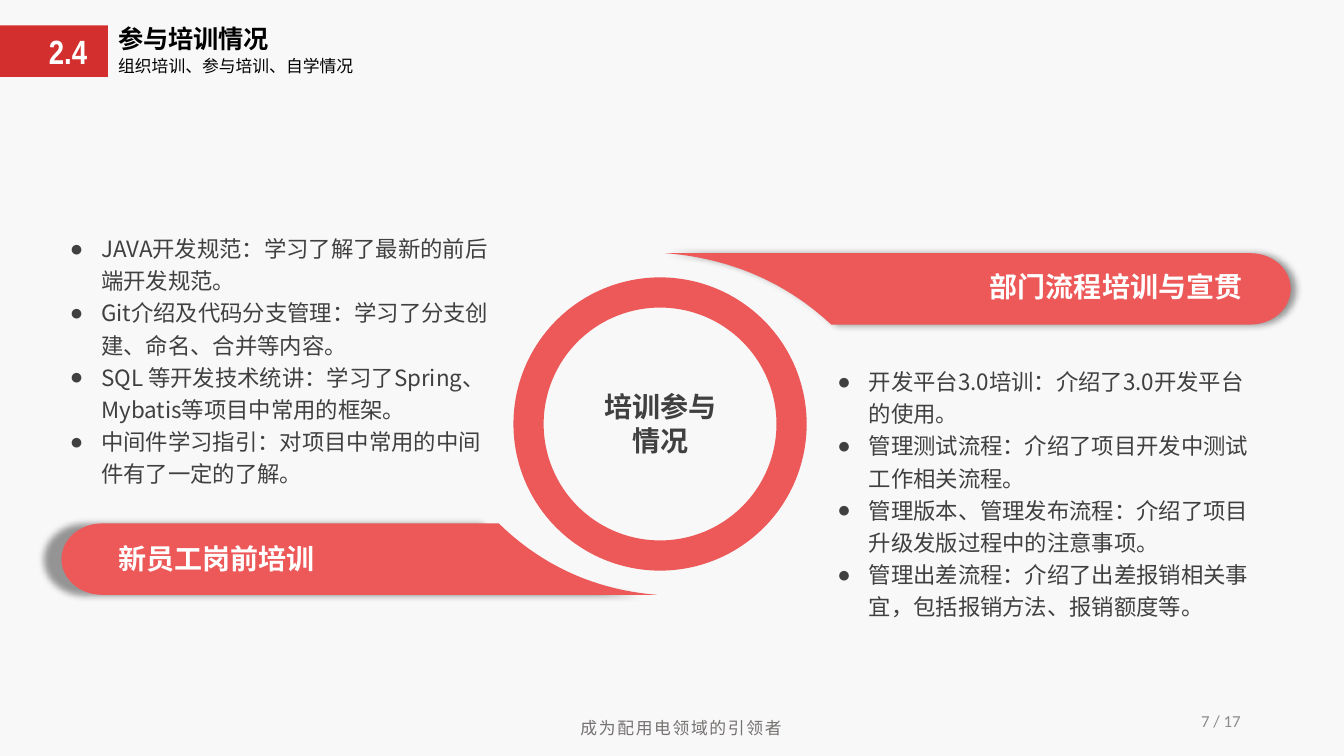
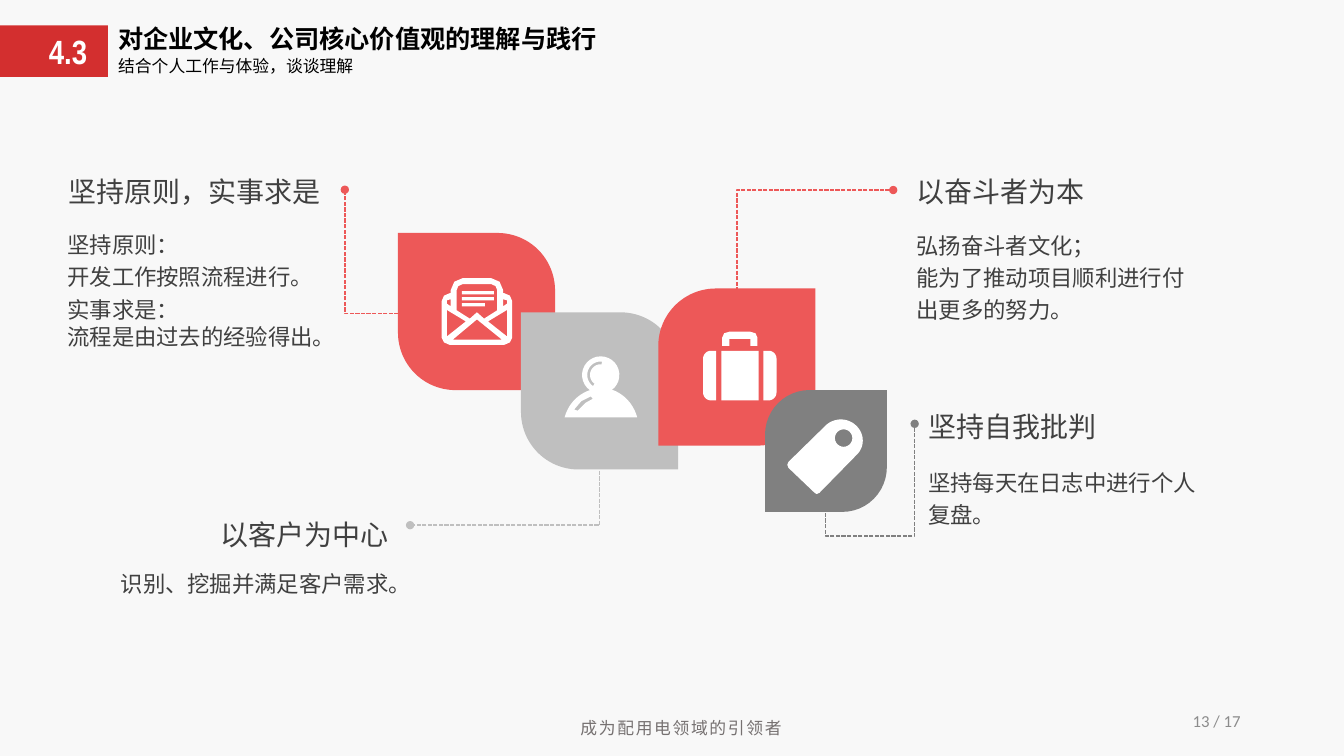
from dataclasses import dataclass
from math import cos, radians, sin
from typing import NamedTuple

from lxml import etree
from pptx import Presentation
from pptx.dml.color import RGBColor
from pptx.enum.dml import MSO_LINE
from pptx.enum.shapes import MSO_CONNECTOR, MSO_SHAPE
from pptx.enum.text import MSO_ANCHOR, MSO_AUTO_SIZE, PP_ALIGN
from pptx.oxml.ns import qn
from pptx.util import Cm, Pt

CJK = "Noto Sans CJK SC"
BACKGROUND, BAND, RED = "F8F8F8", "D32F2F", "ED5858"
SILVER, GREY, DARK, WHITE, BLACK = "BFBFBF", "808080", "404040", "FFFFFF", "000000"
FOOTER = "成为配用电领域的引领者"
PAGE_COUNT = 17
LEFT, CENTER, RIGHT = PP_ALIGN.LEFT, PP_ALIGN.CENTER, PP_ALIGN.RIGHT

Point = tuple[float, float]


class Box(NamedTuple):
    left: float
    top: float
    width: float
    height: float

    def lengths(self) -> list[Cm]:
        return [Cm(value) for value in self]


@dataclass(frozen=True)
class TextStyle:
    size: int
    color: str
    bold: bool = False
    name: str = CJK
    tracking: int = 0


@dataclass(frozen=True)
class Banner:
    tip: Point
    direction: int
    length: float
    foot: float
    shadow_offset: float
    label: str
    label_box: Box
    align: PP_ALIGN


@dataclass(frozen=True)
class Wire:
    box: Box
    rotation: int
    dot: str
    flipped: bool = False
    bend: int = 0


@dataclass(frozen=True)
class Leaf:
    left: float
    top: float
    size: float
    rotation: int
    color: str
    wire: Wire


@dataclass(frozen=True)
class Callout:
    heading: str
    lines: tuple[str, ...]
    left: float
    heading_top: float
    body_top: float
    width: float = 7.29
    heading_align: PP_ALIGN = LEFT
    body_align: PP_ALIGN = LEFT
    last_spacing: float = 1.2


@dataclass(frozen=True)
class Icon:
    left: float
    top: float
    contours: list[list[Point]]


TITLE = TextStyle(18, BLACK, True)
SUBTITLE = TextStyle(12, BLACK)
NUMBER = TextStyle(24, WHITE, True, "Arial Narrow")
FOOTER_STYLE = TextStyle(12, "767171", tracking=120)
PAGE = TextStyle(12, "8C8C8C", name="Calibri")
BODY = TextStyle(16, DARK)
HEADING = TextStyle(20, DARK)
HUB = TextStyle(20, DARK, True)
BANNER_LABEL = TextStyle(20, WHITE, True)


def rgb(color: str) -> RGBColor:
    return RGBColor.from_string(color)


def write_text(frame, lines, style: TextStyle, align=LEFT, spacing=1.0, anchor=MSO_ANCHOR.TOP):
    frame_format = {"word_wrap": True, "auto_size": MSO_AUTO_SIZE.NONE, "vertical_anchor": anchor}
    paragraph_format = {"alignment": align, "line_spacing": spacing, "space_before": Pt(0)}
    font_format = {"size": Pt(style.size), "bold": style.bold, "name": style.name}
    for key, value in frame_format.items():
        setattr(frame, key, value)
    for index, line in enumerate(lines):
        paragraph = frame.add_paragraph() if index else frame.paragraphs[0]
        for key, value in paragraph_format.items():
            setattr(paragraph, key, value)
        run = paragraph.add_run()
        run.text = line
        for key, value in font_format.items():
            setattr(run.font, key, value)
        run.font.color.rgb = rgb(style.color)
        properties = run.font._element
        etree.SubElement(properties, qn("a:ea")).set("typeface", style.name)
        if style.tracking:
            properties.set("spc", str(style.tracking))
    return frame


def add_text(slide, box: Box, lines, style: TextStyle, **layout):
    return write_text(slide.shapes.add_textbox(*box.lengths()).text_frame, lines, style, **layout)


def place(shape, box: Box):
    for key, value in zip(box._fields, box.lengths()):
        setattr(shape, key, value)
    return shape


def paint(shape, color: str):
    shape.shadow.inherit = False
    shape.fill.solid()
    shape.fill.fore_color.rgb = rgb(color)
    shape.line.fill.background()
    return shape


def add_preset(slide, preset: MSO_SHAPE, box: Box, color: str):
    return paint(slide.shapes.add_shape(preset, *box.lengths()), color)


def add_outline(slide, contours: list[list[Point]], color: str):
    """Draw closed contours as one shape; inner contours become holes."""
    scaled = [[(Cm(x), Cm(y)) for x, y in contour] for contour in contours]
    builder = slide.shapes.build_freeform(*scaled[0][0])
    for index, contour in enumerate(scaled):
        if index:
            builder.move_to(*contour[0])
        builder.add_line_segments(contour[1:], close=True)
    return paint(builder.convert_to_shape(), color)


def arc(x: float, y: float, rx: float, ry: float, start: int, end: int, steps: int = 24):
    angles = [radians(start + (end - start) * i / steps) for i in range(steps + 1)]
    return [(x + rx * cos(a), y + ry * sin(a)) for a in angles]


def bezier(p0: Point, p1: Point, p2: Point, p3: Point, steps: int = 20) -> list[Point]:
    def at(t: float) -> Point:
        weights = ((1 - t) ** 3, 3 * t * (1 - t) ** 2, 3 * t * t * (1 - t), t ** 3)
        return tuple(sum(w * p[axis] for w, p in zip(weights, (p0, p1, p2, p3))) for axis in (0, 1))
    return [at(i / steps) for i in range(steps + 1)]


def mirror(points: list[Point], width: float) -> list[Point]:
    return [(width - x, y) for x, y in points]


def add_frame(presentation, layout: int, number: str, title: str, subtitle: str, page: int):
    """Add a slide with the shared band, title, subtitle, footer and page number."""
    slide = presentation.slides.add_slide(presentation.slide_layouts[layout])
    band = add_preset(slide, MSO_SHAPE.RECTANGLE, Box(0, 0.64, 2.72, 1.3), BAND)
    band.text_frame.margin_left = Cm(0.96)
    write_text(band.text_frame, [number], NUMBER, CENTER, anchor=MSO_ANCHOR.MIDDLE)
    place(slide.shapes.title, Box(2.72, 0.46, 13.11, 1.02))
    write_text(slide.shapes.title.text_frame, [title], TITLE)
    add_text(slide, Box(2.73, 1.29, 7.01, 0.76), [subtitle], SUBTITLE)
    add_text(slide, Box(14.38, 17.96, 6.35, 0.76), [FOOTER], FOOTER_STYLE)
    add_text(slide, Box(23.9, 17.65, 7.62, 1.02), [f"{page} / {PAGE_COUNT}"], PAGE,
             align=RIGHT, anchor=MSO_ANCHOR.MIDDLE)
    return slide


def fill_list(placeholder, box: Box, lines):
    frame = write_text(place(placeholder, box).text_frame, lines, BODY, spacing=1.2)
    for paragraph in frame.paragraphs:
        properties = paragraph._p.get_or_add_pPr()
        properties.set("marL", str(Cm(0.79)))
        properties.set("indent", str(-Cm(0.79)))
        etree.SubElement(properties, qn("a:buChar")).set("char", "●")


def add_shadow(shape, offset: float, direction: int):
    """Cast a soft shadow, moved right (1) or left (-1) by the offset."""
    effects = shape._element.spPr.find(qn("a:effectLst"))
    angle = "0" if direction > 0 else "10800000"
    shadow = etree.SubElement(effects, qn("a:outerShdw"), blurRad=str(Pt(5)),
                              dist=str(Cm(offset)), dir=angle, algn="ctr", rotWithShape="0")
    color = etree.SubElement(shadow, qn("a:srgbClr"), val=BLACK)
    etree.SubElement(color, qn("a:alpha"), val="40000")


def add_banner(slide, banner: Banner):
    height, cap, foot = 1.8, 1.02, banner.foot
    outline = arc(banner.length - cap, height / 2, cap, height / 2, -90, 90)
    outline += bezier((foot, height), (0.7 * foot, 0.35 * height), (0.35 * foot, 0.06 * height), (0, 0))
    x, y = banner.tip
    turned = [(x + banner.direction * dx, y + banner.direction * dy) for dx, dy in outline]
    add_shadow(add_outline(slide, [turned], RED), banner.shadow_offset, banner.direction)
    add_text(slide, banner.label_box, [banner.label], BANNER_LABEL, align=banner.align)


def add_wire(slide, wire: Wire, color: str):
    """Draw a dashed elbow with one corner, or two when a bend is given."""
    left, top, width, height = wire.box.lengths()
    start, end = (top + height, top) if wire.flipped else (top, top + height)
    connector = slide.shapes.add_connector(MSO_CONNECTOR.ELBOW, left, start, left + width, end)
    connector.rotation = wire.rotation
    for key, value in {"width": Pt(1), "dash_style": MSO_LINE.SQUARE_DOT}.items():
        setattr(connector.line, key, value)
    connector.line.color.rgb = rgb(color)
    etree.SubElement(connector.line._get_or_add_ln(), qn(f"a:{wire.dot}End")).set("type", "oval")
    properties = connector._element.spPr
    etree.SubElement(properties, qn("a:effectLst"))
    geometry = properties.find(qn("a:prstGeom"))
    if wire.bend:
        guides = geometry.find(qn("a:avLst"))
        etree.SubElement(guides, qn("a:gd"), name="adj1", fmla=f"val {wire.bend}")
    else:
        geometry.set("prst", "bentConnector2")


def add_callout(slide, callout: Callout):
    add_text(slide, Box(callout.left, callout.heading_top, callout.width, 1.12),
             [callout.heading], HEADING, align=callout.heading_align)
    body = Box(callout.left, callout.body_top, callout.width, 0.95 * len(callout.lines))
    frame = add_text(slide, body, callout.lines, BODY, align=callout.body_align, spacing=1.2)
    frame.paragraphs[-1].line_spacing = callout.last_spacing


BANNERS = (
    Banner((16.56, 14.99), -1, 15.01, 3.99, 0.46, "新员工岗前培训", Box(2.74, 13.52, 5.54, 1.12), LEFT),
    Banner((16.76, 6.38), 1, 15.77, 4.19, 0.13, "部门流程培训与宣贯", Box(24.37, 6.66, 7.19, 1.12), RIGHT),
)
TRAINING = (
    (Box(1.51, 5.66, 11.18, 6.71), (
        "JAVA开发规范：学习了解了最新的前后端开发规范。",
        "Git介绍及代码分支管理：学习了分支创建、命名、合并等内容。",
        "SQL 等开发技术统讲：学习了Spring、Mybatis等项目中常用的框架。",
        "中间件学习指引：对项目中常用的中间件有了一定的了解。")),
    (Box(20.85, 9.01, 11.18, 7.54), (
        "开发平台3.0培训：介绍了3.0开发平台的使用。",
        "管理测试流程：介绍了项目开发中测试工作相关流程。",
        "管理版本、管理发布流程：介绍了项目升级发版过程中的注意事项。",
        "管理出差流程：介绍了出差报销相关事宜，包括报销方法、报销额度等。")),
)
LEAVES = (
    Leaf(10.03, 5.87, 3.96, 270, RED, Wire(Box(8.69, 4.78, 1.35, 3.12), 180, "tail")),
    Leaf(13.13, 7.87, 3.96, 270, SILVER, Wire(Box(12.04, 10.16, 1.37, 4.78), 90, "tail")),
    Leaf(16.59, 7.27, 3.96, 0, RED, Wire(Box(18.57, 4.79, 3.94, 2.51), 180, "head", flipped=True)),
    Leaf(19.28, 9.83, 3.07, 0, GREY, Wire(Box(20.8, 10.69, 2.26, 2.24), 90, "head", bend=125300)),
)
CALLOUTS = (
    Callout("坚持原则，实事求是",
            ("坚持原则：", "开发工作按照流程进行。", "实事求是：", "流程是由过去的经验得出。"),
            1.45, 4.27, 5.57, 6.88, heading_align=RIGHT, last_spacing=1.0),
    Callout("以客户为中心", ("识别、挖掘并满足客户需求。",), 2.76, 12.92, 14.1,
            heading_align=RIGHT, body_align=RIGHT),
    Callout("以奋斗者为本", ("弘扬奋斗者文化；", "能为了推动项目顺利进行付出更多的努力。"), 22.85, 4.27, 5.58),
    Callout("坚持自我批判", ("坚持每天在日志中进行个人复盘。",), 23.14, 10.19, 11.56),
)
ENVELOPE_WIDTH, CASE_WIDTH = 1.78, 1.85
ENVELOPE_SIDE = [(0.53, 0), (0.32, 0.09), (0.23, 0.3), (0.23, 0.38), (0.2, 0.38), (0.06, 0.44),
                 (0, 0.58), (0, 1.5), (0.06, 1.62), (0.2, 1.68)]
LETTER_SIDE = [(0.53, 0.15), (0.42, 0.2), (0.38, 0.3), (0.38, 0.81), (0.71, 1.02), (0.89, 0.86)]
FLAP = [(0.13, 1.47), (0.13, 0.8), (0.61, 1.09)]
NOTCH = [(0.23, 0.71), (0.13, 0.64), (0.13, 0.56), (0.23, 0.53)]
CASE_END = (arc(0.2, 0.68, 0.2, 0.2, 270, 180) + arc(0.2, 1.53, 0.2, 0.2, 180, 90)
            + [(0.33, 1.73), (0.33, 0.48)])
HANDLE_SIDE = [(0.66, 0.36), (0.48, 0.36), (0.48, 0.15), (0.53, 0.04), (0.66, 0)]
ICONS = (
    Icon(11.13, 7.01, [
        *(side + mirror(side, ENVELOPE_WIDTH)[::-1] for side in (ENVELOPE_SIDE, LETTER_SIDE)),
        *(part for half in (FLAP, NOTCH) for part in (half, mirror(half, ENVELOPE_WIDTH))),
        [(0.28, 1.55), (0.89, 1.04), (1.52, 1.55)],
        *([(0.51, y), (right, y), (right, y + 0.08), (0.51, y + 0.08)]
          for y, right in ((0.33, 1.32), (0.48, 1.32), (0.63, 1.09)))]),
    Icon(17.72, 8.36, [
        CASE_END, mirror(CASE_END, CASE_WIDTH),
        [(0.46, 0.48), (1.4, 0.48), (1.4, 1.73), (0.46, 1.73)],
        HANDLE_SIDE + mirror(HANDLE_SIDE, CASE_WIDTH)[::-1] + [(1.19, 0.18), (0.66, 0.18)]]),
    Icon(14.23, 8.97, [
        arc(0.91, 0.48, 0.47, 0.47, 125, 415) + bezier((1.22, 0.86), (1.5, 0.97), (1.73, 1.2), (1.83, 1.55))
        + bezier((0, 1.55), (0.1, 1.2), (0.33, 0.97), (0.64, 0.86)),
        arc(0.91, 0.48, 0.34, 0.34, 125, 275) + arc(0.91, 0.48, 0.27, 0.27, 275, 125),
        [(0.24, 1.35), (0.42, 1.14), (0.66, 1.02), (0.71, 1.08), (0.53, 1.18), (0.33, 1.38)]]),
    Icon(19.84, 10.57, [
        bezier((1.73, 0.91), (1.96, 0.71), (1.96, 0.36), (1.73, 0.15))
        + bezier((1.73, 0.15), (1.52, -0.05), (1.18, -0.05), (0.97, 0.15))
        + [(0.03, 1.07), (0, 1.14), (0.03, 1.22), (0.69, 1.85), (0.74, 1.88), (0.81, 1.85)],
        arc(1.42, 0.47, 0.22, 0.22, 0, 360)]),
)


def build_training_slide(presentation):
    slide = add_frame(presentation, 3, "2.4", "参与培训情况", "组织培训、参与培训、自学情况", 7)
    ring = add_preset(slide, MSO_SHAPE.DONUT, Box(12.94, 6.99, 7.39, 7.39), RED)
    ring.adjustments[0] = 0.103
    add_text(slide, Box(14.96, 9.7, 3.38, 1.96), ["培训参与情况"], HUB, align=CENTER)
    for banner in BANNERS:
        add_banner(slide, banner)
    for index, (box, lines) in enumerate(TRAINING, start=1):
        fill_list(slide.placeholders[index], box, lines)


def build_values_slide(presentation):
    slide = add_frame(presentation, 5, "4.3", "对企业文化、公司核心价值观的理解与践行",
                      "结合个人工作与体验，谈谈理解", 13)
    for leaf in LEAVES:
        box = Box(leaf.left, leaf.top, leaf.size, leaf.size)
        shape = add_preset(slide, MSO_SHAPE.ROUND_2_DIAG_RECTANGLE, box, leaf.color)
        shape.adjustments[0] = 0.366
        shape.rotation = leaf.rotation
    for leaf in LEAVES:
        add_wire(slide, leaf.wire, leaf.color)
    for icon in ICONS:
        add_outline(slide, [[(icon.left + x, icon.top + y) for x, y in contour]
                            for contour in icon.contours], WHITE)
    for callout in CALLOUTS:
        add_callout(slide, callout)


def main():
    presentation = Presentation()
    presentation.slide_width, presentation.slide_height = Cm(33.87), Cm(19.05)
    background = presentation.slide_master.background.fill
    background.solid()
    background.fore_color.rgb = rgb(BACKGROUND)
    build_training_slide(presentation)
    build_values_slide(presentation)
    presentation.save("out.pptx")


if __name__ == "__main__":
    main()
